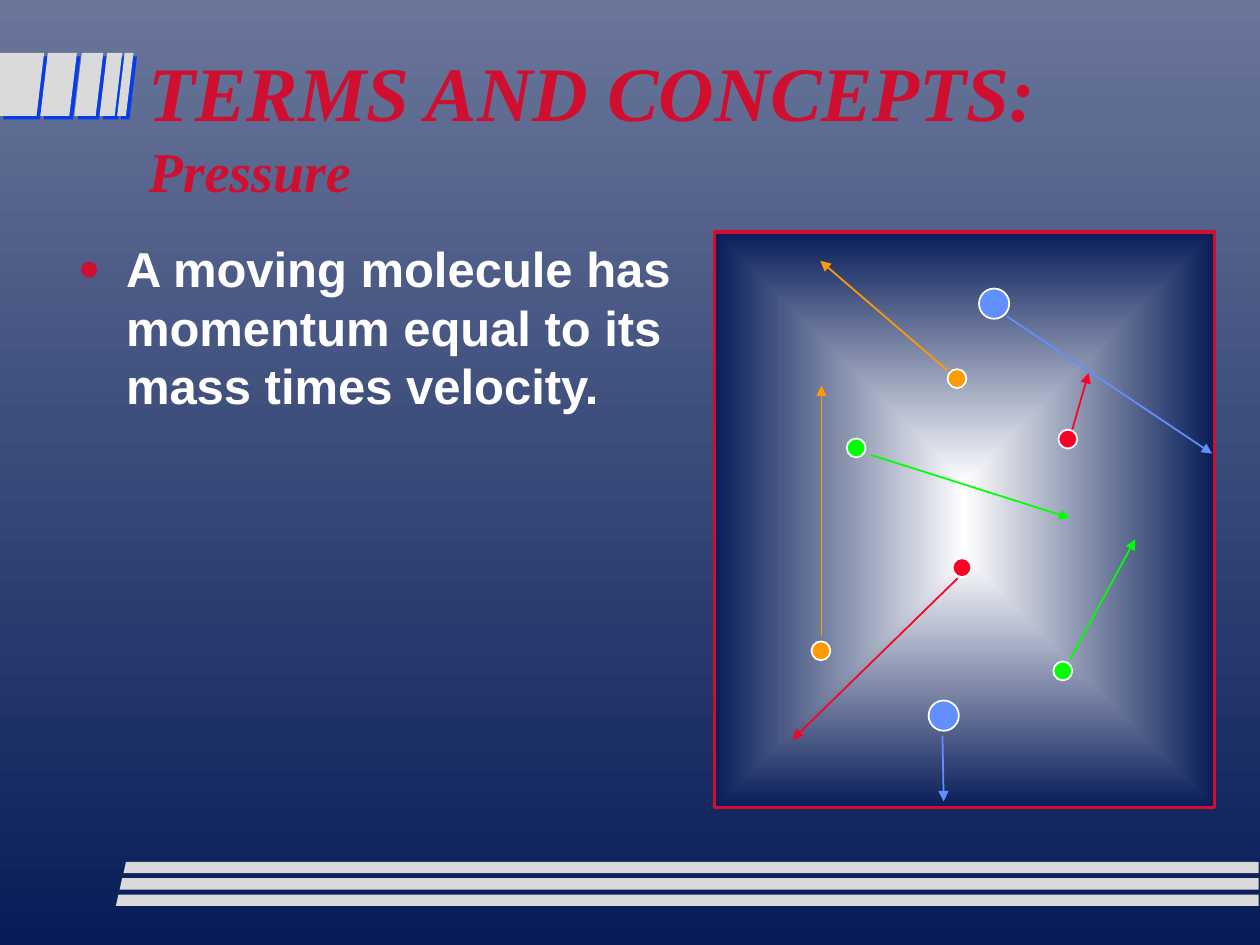
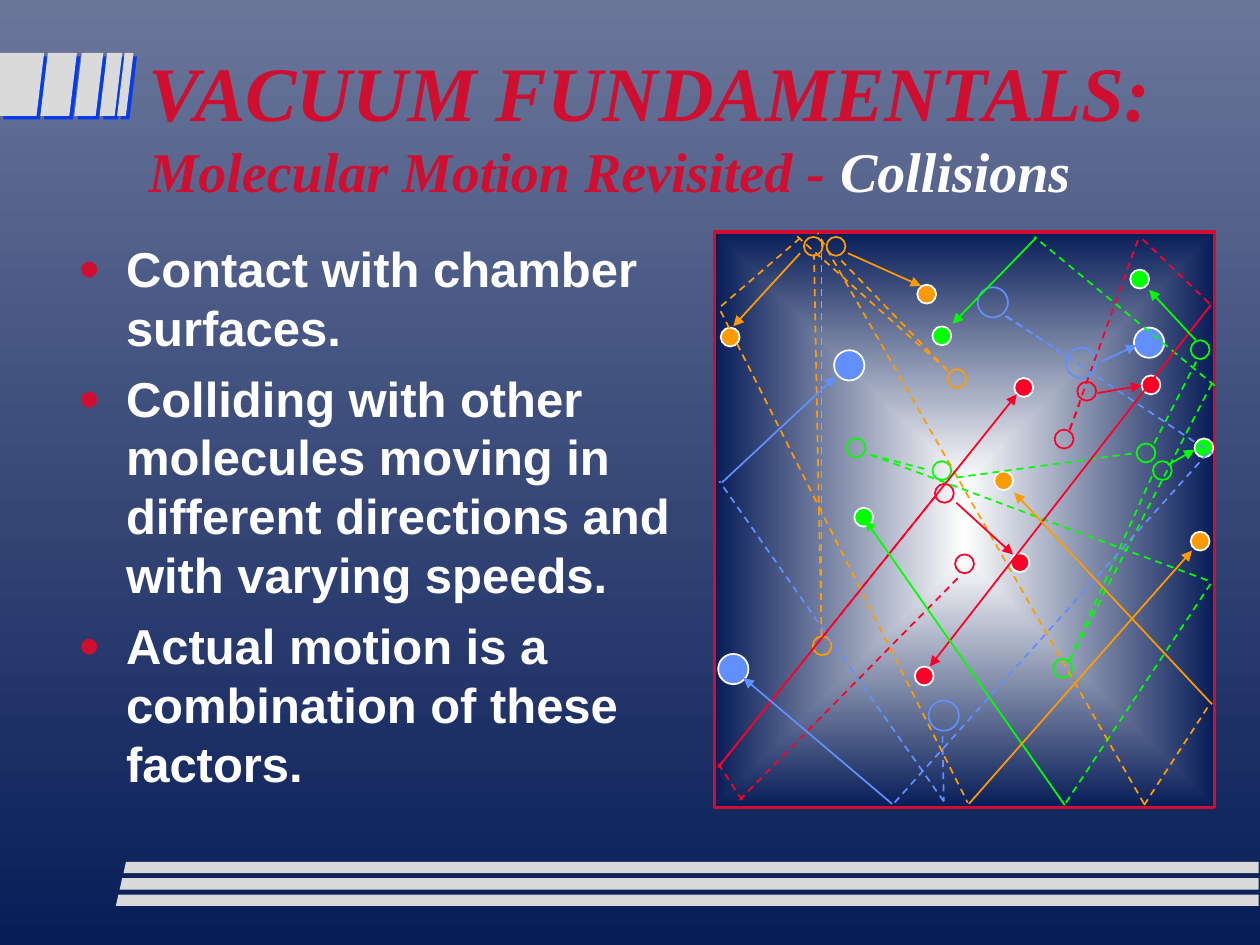
"""Build two slides on molecular motion: a striped frame, bullets and a gas chamber."""
import pptx
import pptx.dml.color
import pptx.enum.dml
import pptx.enum.shapes
import pptx.enum.text
import pptx.oxml
import pptx.oxml.ns
import pptx.util

PX = 9144
RED, WHITE, NAVY, SLATE = "CF0E30", "FFFFFF", "081D58", "6A769A"
SILVER, COBALT, PEARL = "DADADA", "063DE8", "FEFEFE"
GREEN, SCARLET, BLUE, ORANGE = "00FF00", "FC0128", "618FFD", "FE9B03"


def px(count):
    return pptx.util.Emu(count * PX)


def color(code):
    return pptx.dml.color.RGBColor.from_string(code)


def element(tag, inner="", **attributes):
    listed = "".join(f' {name}="{value}"' for name, value in attributes.items())
    namespace = pptx.oxml.ns.nsdecls("a")
    return pptx.oxml.parse_xml(f"<a:{tag} {namespace}{listed}>{inner}</a:{tag}>")


class Slides:
    def __init__(self):
        self.deck = pptx.Presentation()
        self.deck.slide_width, self.deck.slide_height = px(1000), px(750)
        self.page = None
        fill = self.deck.slide_master.background.fill
        self.gradient(fill, SLATE, NAVY)
        fill.gradient_angle = 270

    def gradient(self, fill, first, last):
        fill.gradient()
        for stop, code in zip(fill.gradient_stops, (first, last)):
            stop.color.rgb = color(code)

    def open_page(self):
        self.page = self.deck.slides.add_slide(self.deck.slide_layouts[1])

    def stripe(self, points, shadowed=False):
        builder = self.page.shapes.build_freeform(*points[0], scale=PX)
        builder.add_line_segments(points[1:])
        shape = builder.convert_to_shape()
        shape.shadow.inherit = False
        shape.fill.solid()
        shape.fill.fore_color.rgb = color(SILVER)
        shape.line.fill.background()
        if shadowed:
            effects = shape._element.spPr.find(pptx.oxml.ns.qn("a:effectLst"))
            tint = f'<a:srgbClr val="{COBALT}"/>'
            effects.append(element("outerShdw", tint, dist=35560, dir=2700000))
        master = self.deck.slide_master.shapes
        shape._element.nvSpPr.cNvPr.set("id", str(100 + len(master)))
        master._spTree.append(shape._element)

    def frame(self):
        for left, right in ((0, 35), (38, 61), (65, 82), (85, 97), (99, 106)):
            foot = max(left - 6, 0)
            self.stripe([(left, 42), (foot, 92), (right - 6, 92), (right, 42)], True)
        for step in range(3):
            left, top = 92 + 3 * step, 710 - 13 * step
            self.stripe([(left, top + 9), (999, top + 9), (999, top), (left + 2, top)])

    def place(self, box, left, top, width, height):
        box.left, box.top, box.width, box.height = map(px, (left, top, width, height))
        frame = box.text_frame
        frame.auto_size = pptx.enum.text.MSO_AUTO_SIZE.NONE
        frame.vertical_anchor = pptx.enum.text.MSO_ANCHOR.TOP
        return frame

    def style(self, span, size, code, font, italic=False):
        span.font.name, span.font.size = font, pptx.util.Pt(size)
        span.font.bold, span.font.italic = True, italic
        span.font.color.rgb = color(code)

    def title(self, heading, topic, accent=""):
        frame = self.place(self.page.shapes.title, 108, 30, 850, 129)
        frame.text = f"{heading}\v{topic}"
        para = frame.paragraphs[0]
        para.alignment = pptx.enum.text.PP_ALIGN.LEFT
        if accent:
            para.add_run().text = accent
        for span, size, code in zip(para.runs, (44, 32, 32), (RED, RED, WHITE)):
            self.style(span, size, code, "Times New Roman", True)

    def bullets(self, height, *items):
        frame = self.place(self.page.placeholders[1], 52, 184, 515, height)
        frame.text = "\n".join(items)
        for index, para in enumerate(frame.paragraphs):
            properties = para._p.get_or_add_pPr()
            properties.set("marL", str(px(38)))
            properties.set("indent", str(px(-38)))
            properties.append(element("buClr", f'<a:srgbClr val="{RED}"/>'))
            properties.append(element("buSzPct", val=75000))
            properties.append(element("buChar", char="●"))
            para.space_before = pptx.util.Pt(7 if index else 0)
            self.style(para.runs[0], 28, WHITE, "Arial")

    def shape(self, kind, left, top, width, height, line, points):
        shape = self.page.shapes.add_shape(kind, *map(px, (left, top, width, height)))
        shape.shadow.inherit = False
        shape.line.color.rgb = color(line)
        shape.line.width = pptx.util.Pt(points)
        return shape

    def chamber(self):
        kind = pptx.enum.shapes.MSO_SHAPE.RECTANGLE
        box = self.shape(kind, 567, 184, 397, 457, RED, 2)
        self.gradient(box.fill, PEARL, NAVY)
        linear = box._element.spPr.find(".//" + pptx.oxml.ns.qn("a:lin"))
        center = '<a:fillToRect l="50000" t="50000" r="50000" b="50000"/>'
        linear.getparent().replace(linear, element("path", center, path="rect"))

    def molecules(self, places, solid=True):
        kind = pptx.enum.shapes.MSO_SHAPE.OVAL
        for code, corners in places.items():
            size = 24 if code == BLUE else 15
            for left, top in corners:
                line = WHITE if solid else code
                ball = self.shape(kind, left, top, size, size, line, 1)
                if solid:
                    ball.fill.solid()
                    ball.fill.fore_color.rgb = color(code)
                else:
                    ball.fill.background()

    def motions(self, tracks, dashed=False):
        kind = pptx.enum.shapes.MSO_CONNECTOR.STRAIGHT
        for code, ends in tracks.items():
            for end in ends:
                track = self.page.shapes.add_connector(kind, *map(px, end))
                track.line.color.rgb = color(code)
                track.line.width = pptx.util.Pt(1)
                if dashed:
                    track.line.dash_style = pptx.enum.dml.MSO_LINE.DASH
                else:
                    track.line._ln.append(element("tailEnd", type="triangle"))
                track._element.spPr.append(element("effectLst"))


def pressure(slides):
    slides.title("TERMS AND CONCEPTS:", "Pressure")
    slides.bullets(248, "A moving molecule has momentum equal to its mass times velocity.")
    slides.chamber()
    slides.molecules({
        GREEN: [(836, 525), (672, 348)],
        SCARLET: [(756, 443), (840, 341)],
        BLUE: [(737, 556), (777, 229)],
        ORANGE: [(644, 509), (752, 293)],
    })
    slides.motions({
        BLUE: [(799, 251, 962, 360), (748, 584, 749, 636)],
        SCARLET: [(760, 459, 629, 587), (851, 341, 864, 296)],
        GREEN: [(691, 361, 849, 411), (849, 524, 901, 428)],
        ORANGE: [(652, 505, 652, 306), (752, 294, 651, 207)],
    })


def collisions(slides):
    slides.title("VACUUM FUNDAMENTALS:", "Molecular Motion Revisited - ", "Collisions")
    slides.bullets(
        457,
        "Contact with chamber surfaces.",
        "Colliding with other molecules moving in different directions and with varying speeds.",
        "Actual motion is a combination of these factors.",
    )
    slides.chamber()
    slides.molecules({
        GREEN: [(897, 214), (948, 348), (678, 403), (740, 259)],
        BLUE: [(900, 260), (662, 278), (570, 519)],
        SCARLET: [(906, 298), (802, 439), (805, 300), (726, 529)],
        ORANGE: [(728, 226), (572, 260), (789, 374), (945, 422)],
    })
    slides.molecules({
        GREEN: [(672, 348), (836, 523), (740, 366), (915, 366), (902, 352), (945, 270)],
        BLUE: [(737, 556), (846, 276), (776, 228)],
        SCARLET: [(758, 440), (742, 384), (855, 303), (837, 341)],
        ORANGE: [(752, 293), (656, 188), (638, 188), (645, 505)],
    }, solid=False)
    slides.motions({
        SCARLET: [(849, 341, 857, 320), (570, 609, 743, 393), (760, 459, 587, 635),
                  (849, 341, 904, 188), (907, 190, 960, 241), (589, 635, 570, 606)],
        GREEN: [(691, 361, 737, 373), (849, 524, 916, 374), (759, 379, 898, 360),
                (916, 352, 951, 284), (691, 361, 962, 462), (849, 524, 962, 304),
                (964, 306, 821, 188), (846, 637, 963, 460)],
        BLUE: [(798, 251, 846, 282), (748, 584, 749, 636), (799, 251, 962, 360),
               (710, 637, 960, 358), (749, 636, 571, 382)],
        ORANGE: [(652, 505, 646, 202), (752, 294, 665, 204), (652, 505, 652, 187),
                 (752, 294, 632, 187), (635, 189, 570, 245), (572, 247, 768, 637),
                 (908, 638, 649, 185), (908, 639, 960, 559)],
    }, dashed=True)
    slides.motions({
        SCARLET: [(759, 399, 804, 440), (871, 312, 906, 306), (961, 242, 738, 529),
                  (570, 609, 807, 313)],
        GREEN: [(927, 369, 948, 357), (949, 270, 912, 230), (822, 189, 756, 257),
                (845, 639, 687, 413)],
        BLUE: [(874, 287, 902, 274), (708, 638, 590, 538), (573, 383, 663, 299)],
        ORANGE: [(635, 201, 582, 259), (673, 201, 731, 227), (769, 638, 946, 437),
                 (962, 559, 805, 391)],
    })


def main():
    slides = Slides()
    slides.open_page()
    slides.frame()
    pressure(slides)
    slides.open_page()
    collisions(slides)
    slides.deck.save("out.pptx")


if __name__ == "__main__":
    main()
